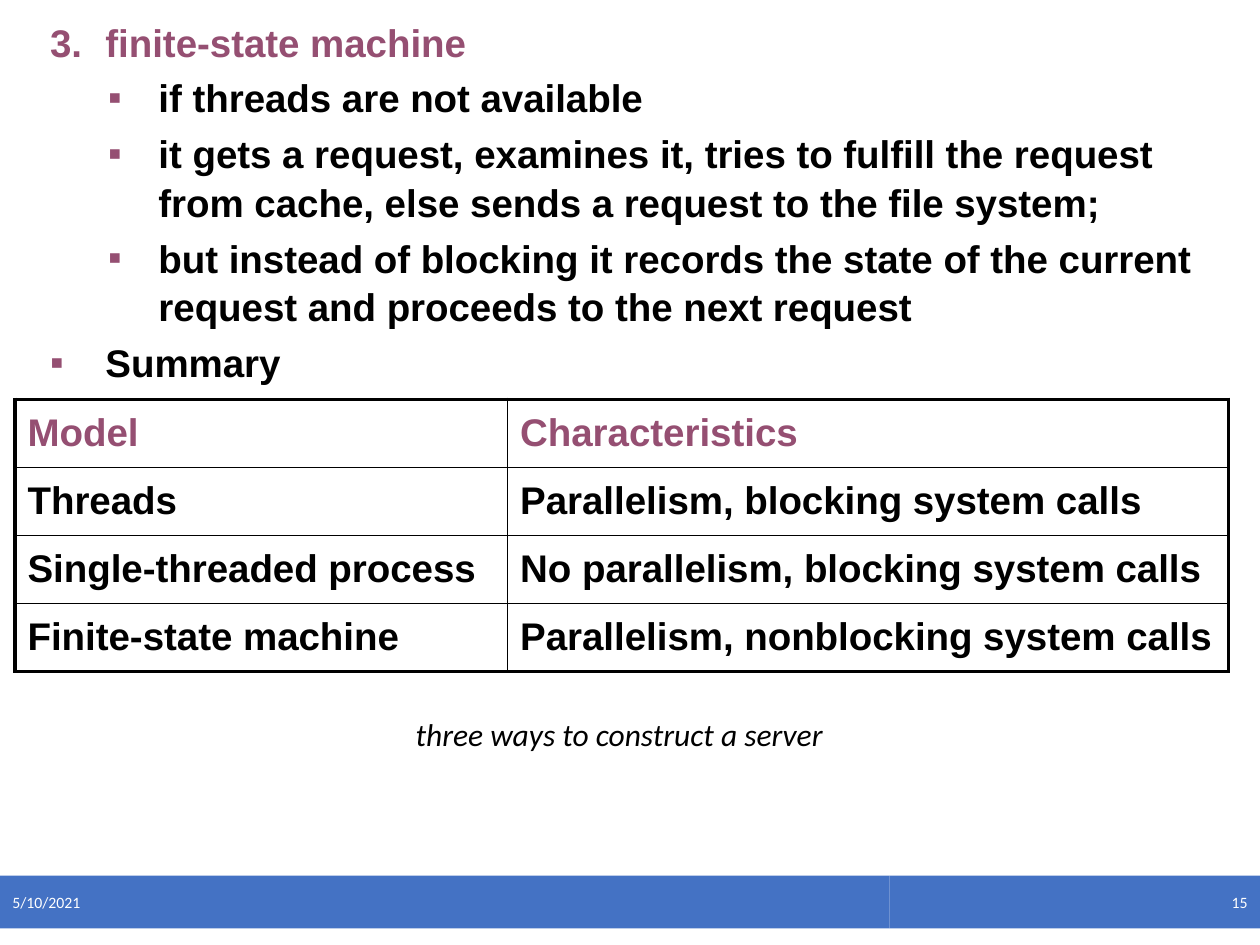
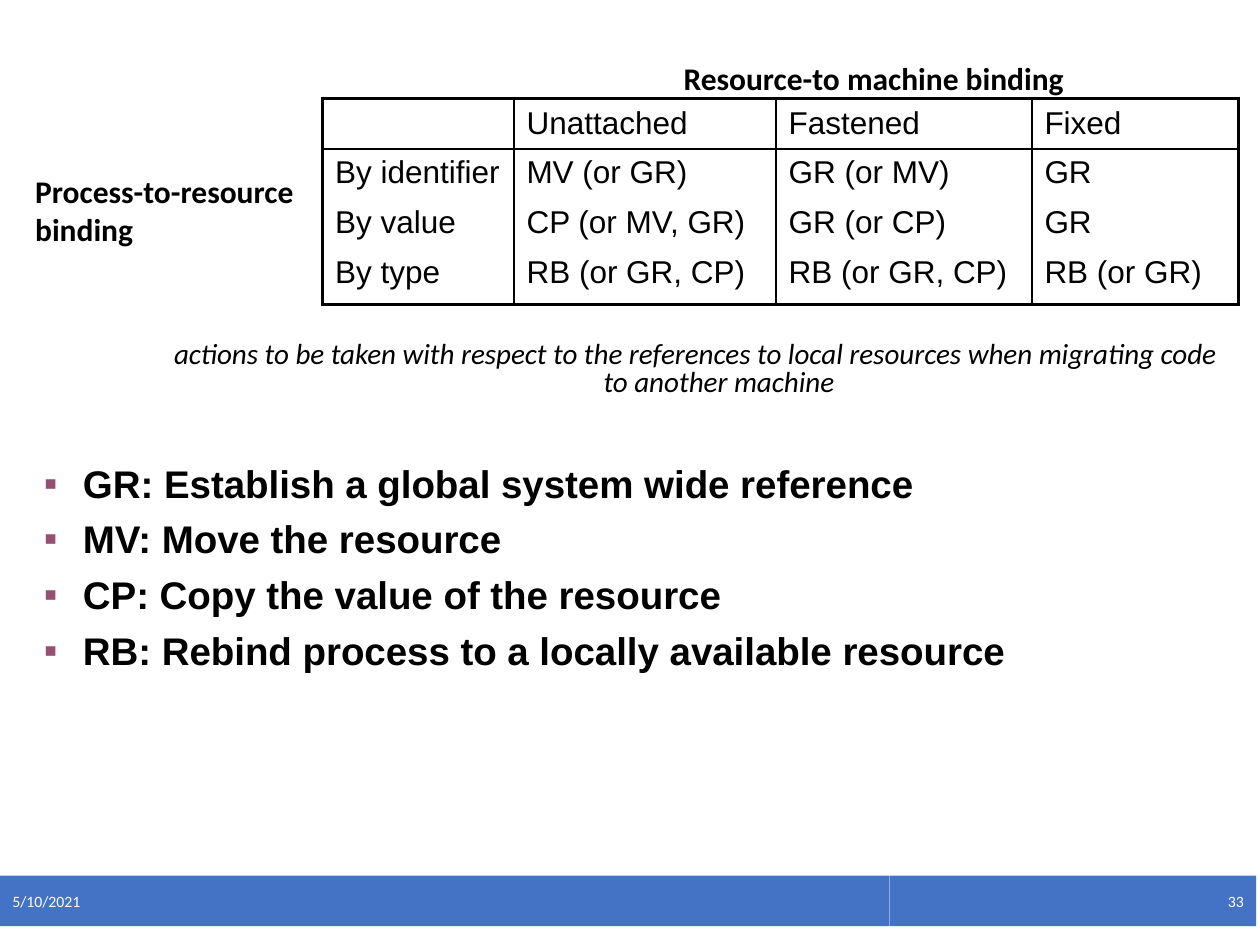
from lxml import etree
from pptx import Presentation
from pptx import util as u
from pptx.dml.color import RGBColor
from pptx.enum import shapes, text
from pptx.oxml import ns

BLACK, WHITE, PLUM, BLUE = "000000", "FFFFFF", "954F72", "4472C4"
HEADING = dict(size=22, font="Arial", bold=True)
LABEL = dict(size=18, font="Calibri", bold=True)
CELL = dict(size=18, font="Arial", space=8.4)
CAPTION = dict(font="Calibri", italic=True, align=text.PP_ALIGN.CENTER)
FOOTER = dict(size=9, font="Calibri", color=WHITE)
FOOTER_TOP, FOOTER_SPLIT = 500.4, 508.3
OUTER_LINE, INNER_LINE = 2.25, 1


def paint(color_format, value):
    color_format.rgb = RGBColor.from_string(value)


def sub(parent, tag, **attributes):
    element = etree.SubElement(parent, ns.qn(tag))
    for name, value in attributes.items():
        element.set(name, str(value))
    return element


def write(frame, content, size=18, font="Arial", color=BLACK, bold=False, italic=False,
          align=text.PP_ALIGN.LEFT, space=0, line=1.0, left=0, hanging=0, bullet=None):
    """Add a paragraph; an integer bullet starts a numbered list."""
    first = not frame.paragraphs[0].runs
    paragraph = frame.paragraphs[0] if first else frame.add_paragraph()
    paragraph.alignment = align
    paragraph.line_spacing = line
    paragraph.space_before = u.Pt(0 if first else space)
    properties = paragraph._p.get_or_add_pPr()
    properties.set("marL", str(u.Pt(left)))
    properties.set("indent", str(u.Pt(-hanging)))
    if bullet:
        sub(sub(properties, "a:buClr"), "a:srgbClr", val=PLUM)
        sub(properties, "a:buFont", typeface="Arial")
        if isinstance(bullet, int):
            sub(properties, "a:buAutoNum", type="arabicPeriod", startAt=bullet)
        else:
            sub(properties, "a:buChar", char=bullet)
    run = paragraph.add_run()
    run.text = content
    run.font.size, run.font.name = u.Pt(size), font
    run.font.bold, run.font.italic = bold, italic
    paint(run.font.color, color)


def add_text_frame(slide, box):
    frame = slide.shapes.add_textbox(*map(u.Pt, box)).text_frame
    frame.word_wrap = True
    return frame


def add_label(slide, box, content, **style):
    write(add_text_frame(slide, box), content, **style)


def add_bullets(slide, box, items, indents):
    """Items are (level, bullet, content, color); indents are (left, hanging) by level."""
    frame = add_text_frame(slide, box)
    for level, bullet, content, color in items:
        left, hanging = indents[level]
        write(frame, content, color=color, bullet=bullet, left=left, hanging=hanging,
              space=4.2, line=1.05, **HEADING)


def set_borders(cell, widths):
    properties = cell._tc.get_or_add_tcPr()
    for side, width in zip("LRTB", widths):
        line = sub(properties, f"a:ln{side}", w=u.Pt(width))
        sub(sub(line, "a:solidFill"), "a:srgbClr", val=BLACK)


def add_grid(slide, corner, columns, heights, rows, style, header_color=BLACK,
             body_anchor=text.MSO_ANCHOR.MIDDLE):
    """Draw a table with a heavy frame; each cell holds a list of paragraphs."""
    box = (*corner, sum(columns), sum(heights))
    table = slide.shapes.add_table(len(rows), len(columns), *map(u.Pt, box)).table
    table.first_row = table.horz_banding = False
    for column, width in zip(table.columns, columns):
        column.width = u.Pt(width)
    for row, height in zip(table.rows, heights):
        row.height = u.Pt(height)
    for r, row in enumerate(rows):
        for c, lines in enumerate(row):
            cell = table.cell(r, c)
            edges = (c == 0, c == len(columns) - 1, r == 0, r == len(rows) - 1)
            set_borders(cell, [OUTER_LINE if edge else INNER_LINE for edge in edges])
            cell.fill.background()
            cell.vertical_anchor = body_anchor if r else text.MSO_ANCHOR.MIDDLE
            for content in lines:
                write(cell.text_frame, content, color=BLACK if r else header_color, **style)


def add_footer(slide, number, width, height):
    parts = ((0, FOOTER_SPLIT, "5/10/2021", text.PP_ALIGN.LEFT),
             (FOOTER_SPLIT, width - FOOTER_SPLIT, number, text.PP_ALIGN.RIGHT))
    for left, part_width, content, align in parts:
        box = (left, FOOTER_TOP, part_width, height)
        band = slide.shapes.add_shape(shapes.MSO_SHAPE.RECTANGLE, *map(u.Pt, box))
        band.shadow.inherit = False
        band.fill.solid()
        paint(band.fill.fore_color, BLUE)
        band.line.fill.background()
        band.text_frame.vertical_anchor = text.MSO_ANCHOR.MIDDLE
        write(band.text_frame, content, align=align, **FOOTER)


def build_server_slide(slide):
    add_label(slide, (162, 407.5, 383.8, 30.2), "three ways to construct a server",
              size=18, line=0.9, left=13.7, hanging=13.7, **CAPTION)
    points = (
        "if threads are not available",
        "it gets a request, examines it, tries to fulfill the request from cache, "
        "else sends a request to the file system;",
        "but instead of blocking it records the state of the current request "
        "and proceeds to the next request",
    )
    items = [(0, 3, "finite-state machine", PLUM),
             *((1, "▪", point, BLACK) for point in points),
             (0, "▪", "Summary", BLACK)]
    add_bullets(slide, (12.2, 5.8, 699.8, 162), items, [(41, 31.7), (71.3, 28.8)])
    models = (
        ("Model", "Characteristics"),
        ("Threads", "Parallelism, blocking system calls"),
        ("Single-threaded process", "No parallelism, blocking system calls"),
        ("Finite-state machine", "Parallelism, nonblocking system calls"),
    )
    add_grid(slide, (8.6, 228.2), (281.5, 411.9), [38.9] * len(models),
             [[[content] for content in model] for model in models], HEADING, PLUM)
    add_footer(slide, "15", 720, 30.2)


def build_binding_slide(slide):
    add_label(slide, (90, 192.2, 614.2, 41.8),
              "actions to be taken with respect to the references to local resources "
              "when migrating code to another machine",
              size=16.6, line=0.8, left=27.4, hanging=27.4, **CAPTION)
    actions = (
        ([], ["By identifier", "By value", "By type"]),
        (["Unattached"], ["MV (or GR)", "CP (or MV, GR)", "RB (or GR, CP)"]),
        (["Fastened"], ["GR (or MV)", "GR (or CP)", "RB (or GR, CP)"]),
        (["Fixed"], ["GR", "GR", "RB (or GR)"]),
    )
    add_grid(slide, (184.3, 56.2), (109.4, 149.8, 146.2, 118.1), (28, 85),
             list(zip(*actions)), CELL, body_anchor=text.MSO_ANCHOR.TOP)
    add_label(slide, (339.1, 30.2, 320.4, 28.8), "Resource-to machine binding",
              align=text.PP_ALIGN.CENTER, **LABEL)
    add_label(slide, (13, 95, 166.3, 50.4), "Process-to-resource binding", **LABEL)
    meanings = (
        "GR: Establish a global system wide reference",
        "MV: Move the resource",
        "CP: Copy the value of the resource",
        "RB: Rebind process to a locally available resource",
    )
    add_bullets(slide, (18, 257.8, 699.8, 126),
                [(0, "▪", meaning, BLACK) for meaning in meanings], [(22.3, 22.3)])
    add_footer(slide, "33", 717.8, 28.8)


def main():
    presentation = Presentation()
    presentation.slide_width, presentation.slide_height = u.Pt(720), u.Pt(540)
    for build in (build_server_slide, build_binding_slide):
        build(presentation.slides.add_slide(presentation.slide_layouts[6]))
    presentation.save("out.pptx")


if __name__ == "__main__":
    main()
